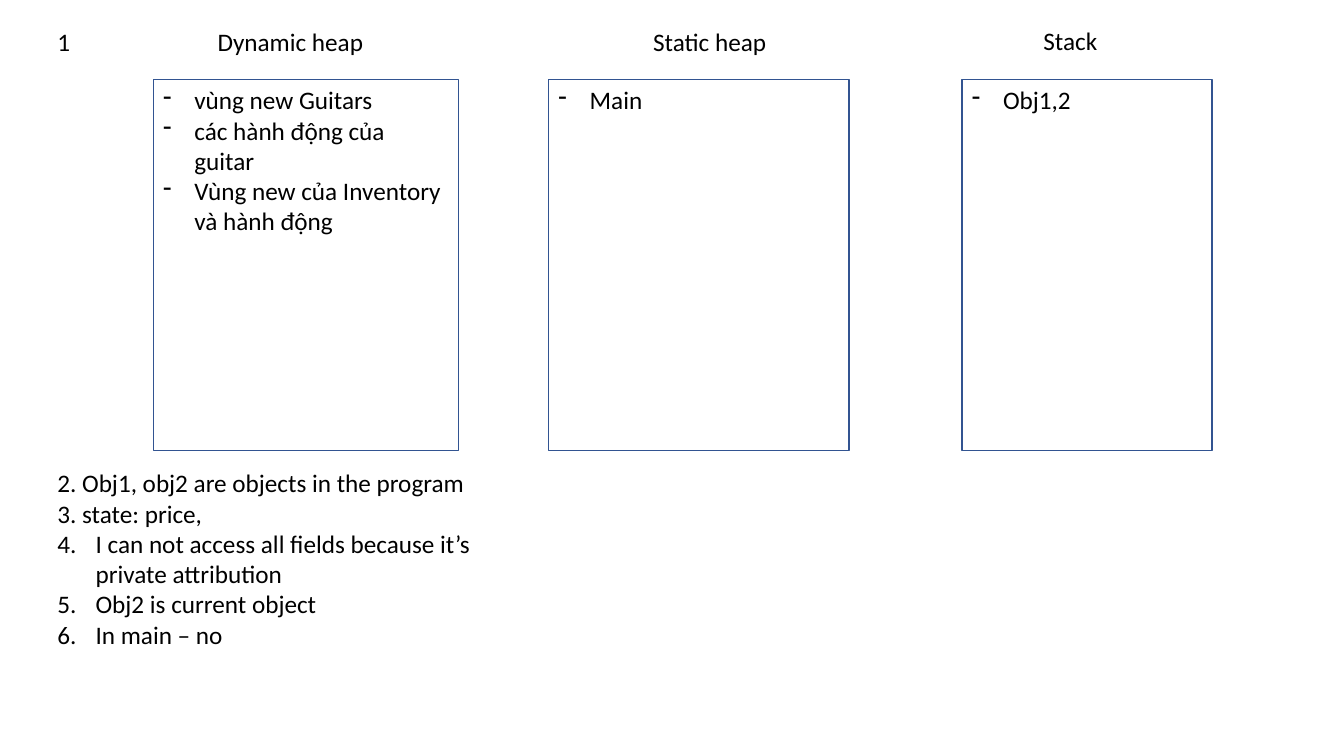
"""Build the memory layout slide with three regions and the numbered answers."""
from dataclasses import dataclass

from lxml import etree
from pptx import Presentation, util as u
from pptx.dml import color as c
from pptx.enum import shapes as s, text as t
from pptx.oxml import ns

FONT = "Calibri"
FONT_SIZE = 18
TEXT_COLOR = "000000"
BORDER_COLOR = "325491"
BOX_TOP = 0.79
BOX_HEIGHT = 3.68
LINE_HEIGHT = 0.4
DASH_INDENT = 0.31
NUMBER_INDENT = 0.38
FIRST_NUMBER = 4


@dataclass(frozen=True)
class Region:
    title: str
    title_left: float
    title_top: float
    title_width: float
    left: float
    width: float
    items: tuple[str, ...]
    items_height: float = LINE_HEIGHT


REGIONS = (
    Region("Dynamic heap", 2.06, 0.21, 1.66, 1.52, 3.03,
           ("vùng new Guitars", "các hành động của guitar",
            "Vùng new của Inventory và hành động"), 1.62),
    Region("Static heap", 6.38, 0.21, 1.34, 5.44, 2.98, ("Main",)),
    Region("Stack", 10.25, 0.2, 0.74, 9.54, 2.48, ("Obj1,2",)),
)
PLAIN_ANSWERS = ("2. Obj1, obj2 are objects in the program", "3. state: price,")
NUMBERED_ANSWERS = (
    "I can not access all fields because it’s private attribution",
    "Obj2 is current object",
    "In main – no",
)


def rgb(value: str) -> c.RGBColor:
    return c.RGBColor.from_string(value)


def add_text(slide, left: float, top: float, width: float, height: float,
             lines: tuple[str, ...], wrap: bool = True):
    shape = slide.shapes.add_textbox(*map(u.Inches, (left, top, width, height)))
    frame = shape.text_frame
    frame.word_wrap = wrap
    frame.auto_size = t.MSO_AUTO_SIZE.SHAPE_TO_FIT_TEXT
    frame.text = "\n".join(lines)
    for paragraph in frame.paragraphs:
        for run in paragraph.runs:
            run.font.name = FONT
            run.font.size = u.Pt(FONT_SIZE)
            run.font.color.rgb = rgb(TEXT_COLOR)
    return frame.paragraphs


def add_bullet(paragraph, indent: float, tag: str, **attributes: str) -> None:
    properties = paragraph._p.get_or_add_pPr()
    properties.set("marL", str(u.Inches(indent)))
    properties.set("indent", str(-u.Inches(indent)))
    etree.SubElement(properties, ns.qn("a:buFontTx"))
    etree.SubElement(properties, ns.qn(tag), attributes)


def add_region_box(slide, region: Region) -> None:
    box = slide.shapes.add_shape(
        s.MSO_SHAPE.RECTANGLE,
        *map(u.Inches, (region.left, BOX_TOP, region.width, BOX_HEIGHT)))
    box.shadow.inherit = False
    box.fill.background()
    box.line.color.rgb = rgb(BORDER_COLOR)
    box.line.width = u.Pt(1)


def add_region_text(slide, region: Region) -> None:
    add_text(slide, region.title_left, region.title_top, region.title_width,
             LINE_HEIGHT, (region.title,), wrap=False)
    for paragraph in add_text(slide, region.left, BOX_TOP, region.width,
                              region.items_height, region.items):
        add_bullet(paragraph, DASH_INDENT, "a:buChar", char="-")


def add_answers(slide) -> None:
    add_text(slide, 0.47, 0.21, 0.66, LINE_HEIGHT, ("1",))
    paragraphs = add_text(slide, 0.47, 4.59, 4.5, 1.92,
                          PLAIN_ANSWERS + NUMBERED_ANSWERS)
    for paragraph in paragraphs[len(PLAIN_ANSWERS):]:
        add_bullet(paragraph, NUMBER_INDENT, "a:buAutoNum",
                   type="arabicPeriod", startAt=str(FIRST_NUMBER))


def main() -> None:
    presentation = Presentation()
    presentation.slide_width = u.Inches(13.33)
    presentation.slide_height = u.Inches(7.5)
    slide = presentation.slides.add_slide(presentation.slide_layouts[6])
    for region in REGIONS:
        add_region_box(slide, region)
    for region in REGIONS:
        add_region_text(slide, region)
    add_answers(slide)
    presentation.save("out.pptx")


if __name__ == "__main__":
    main()
